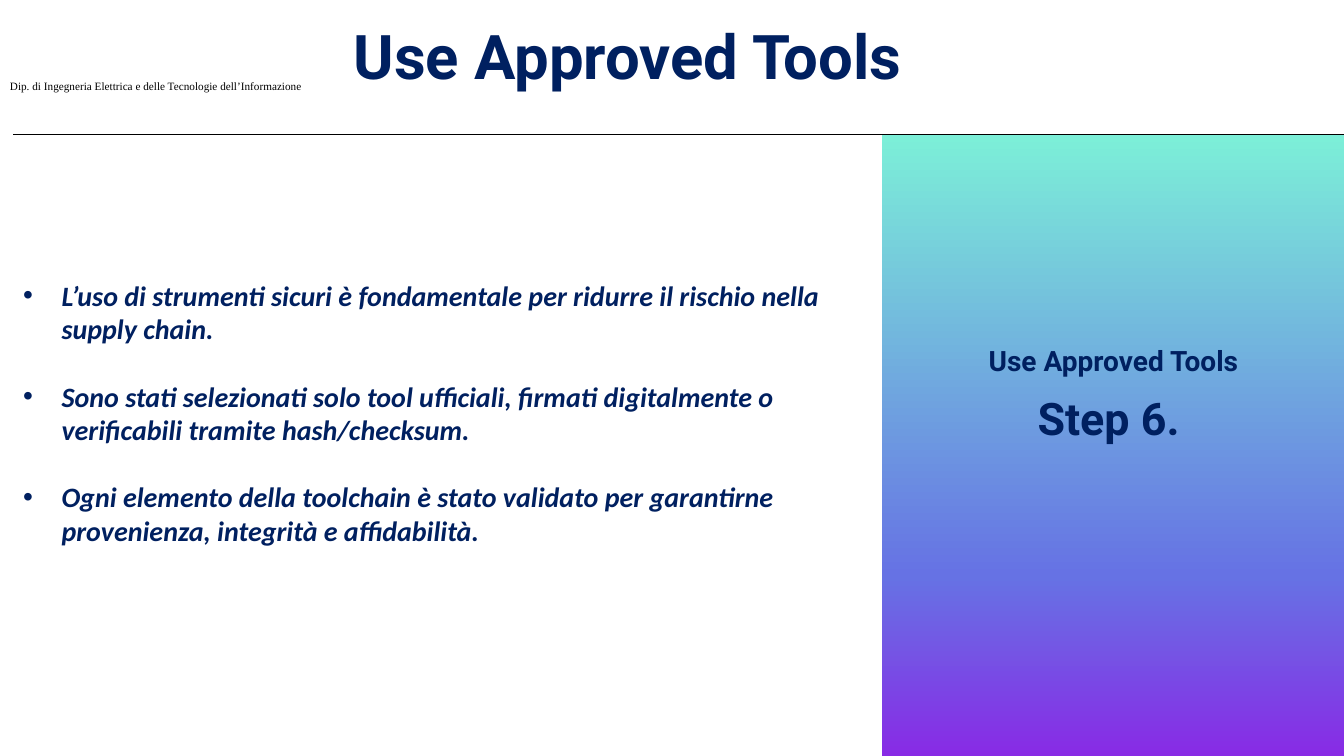
from copy import deepcopy

from lxml.etree import SubElement
from pptx import Presentation
from pptx.dml.color import RGBColor
from pptx.enum.shapes import MSO_CONNECTOR, MSO_SHAPE
from pptx.enum.text import MSO_ANCHOR, MSO_AUTO_SIZE, PP_ALIGN
from pptx.oxml.ns import qn
from pptx.util import Inches, Pt

NAVY = RGBColor(0x00, 0x20, 0x60)
BLACK = RGBColor(0x00, 0x00, 0x00)
MINT = RGBColor(0x7C, 0xEF, 0xD8)
BLUE = RGBColor(0x66, 0x72, 0xE4)
VIOLET = RGBColor(0x88, 0x2B, 0xE5)

deck = Presentation()
deck.slide_width, deck.slide_height = Inches(13.33), Inches(7.5)
page = deck.slides.add_slide(deck.slide_layouts[5])


def area(left, top, width, height):
    """Turn percentages of the slide into lengths."""
    across, down = deck.slide_width / 100, deck.slide_height / 100
    return [round(share) for share in
            (left * across, top * down, width * across, height * down)]


def write(place, *lines, box=None, size=20, font="Roboto", color=NAVY,
          bold=True, italic=False, align=PP_ALIGN.LEFT, spacing=None,
          gap=0, bullet=False, wrap=True, inset=True):
    """Fill a text box, or the given placeholder, with formatted lines."""
    box = box or page.shapes.add_textbox(*place)
    box.left, box.top, box.width, box.height = place
    frame = box.text_frame
    frame.word_wrap = wrap
    frame.auto_size = MSO_AUTO_SIZE.NONE
    frame.vertical_anchor = MSO_ANCHOR.TOP
    if not inset:
        frame.margin_left = frame.margin_right = 0
        frame.margin_top = frame.margin_bottom = 0
    for number, line in enumerate(lines):
        para = frame.add_paragraph() if number else frame.paragraphs[0]
        para.alignment = align
        para.line_spacing = spacing
        para.space_before = Pt(gap if number else 0)
        span = para.add_run()
        span.text = line
        span.font.size, span.font.name = Pt(size), font
        span.font.bold, span.font.italic = bold, italic
        span.font.color.rgb = color
        if bullet:
            props = para._p.get_or_add_pPr()
            indent = Inches(0.38)
            props.set("marL", str(indent))
            props.set("indent", str(-indent))
            SubElement(props, qn("a:buFont"), typeface="Arial")
            SubElement(props, qn("a:buChar"), char="•")


# Gradient side panel, from the header rule to the bottom of the slide
header = 17.8
panel = page.shapes.add_shape(MSO_SHAPE.RECTANGLE,
                              *area(65.6, header, 34.4, 100 - header))
panel.shadow.inherit = False
panel.line.fill.background()
panel.fill.gradient()
panel.fill.gradient_angle = 270
stop_list = panel._element.spPr.find(".//" + qn("a:gsLst"))
stop_list.insert(1, deepcopy(stop_list[0]))
for stop, color, position in zip(panel.fill.gradient_stops,
                                 (MINT, BLUE, VIOLET), (0, 0.71, 1)):
    stop.color.rgb = color
    stop.position = position

# Header: title, department and rule
write(area(26.3, 4.8, 43.2, 7.5), "Use Approved Tools",
      box=page.shapes.title, size=44, spacing=Pt(40), inset=False)
write(area(0, 9.87, 23.3, 3.2),
      "Dip. di Ingegneria Elettrica e delle Tecnologie dell’Informazione",
      size=8, font="Times New Roman", color=BLACK, bold=False, wrap=False)
left, top, width, _ = area(1, header, 99, 0)
rule = page.shapes.add_connector(MSO_CONNECTOR.STRAIGHT,
                                 left, top, left + width, top)
rule.line.color.rgb = BLACK
rule.line.width = Pt(0.5)
SubElement(rule._element.spPr, qn("a:effectLst"))

# Main points
write(area(1.73, 36.8, 63.2, 35.87),
      "L’uso di strumenti sicuri è fondamentale per ridurre il rischio nella "
      "supply chain.",
      "Sono stati selezionati solo tool ufficiali, firmati digitalmente o "
      "verificabili tramite hash/checksum.",
      "Ogni elemento della toolchain è stato validato per garantirne "
      "provenienza, integrità e affidabilità.",
      font="Calibri", italic=True, gap=24, bullet=True, inset=False)

# Panel labels
write(area(77.2, 51.33, 11.25, 5.87), "Step 6.",
      size=32, spacing=Pt(40), inset=False)
write(area(68.33, 45.47, 29.03, 4.53), "Use Approved Tools",
      align=PP_ALIGN.CENTER, inset=False)

deck.save("out.pptx")
